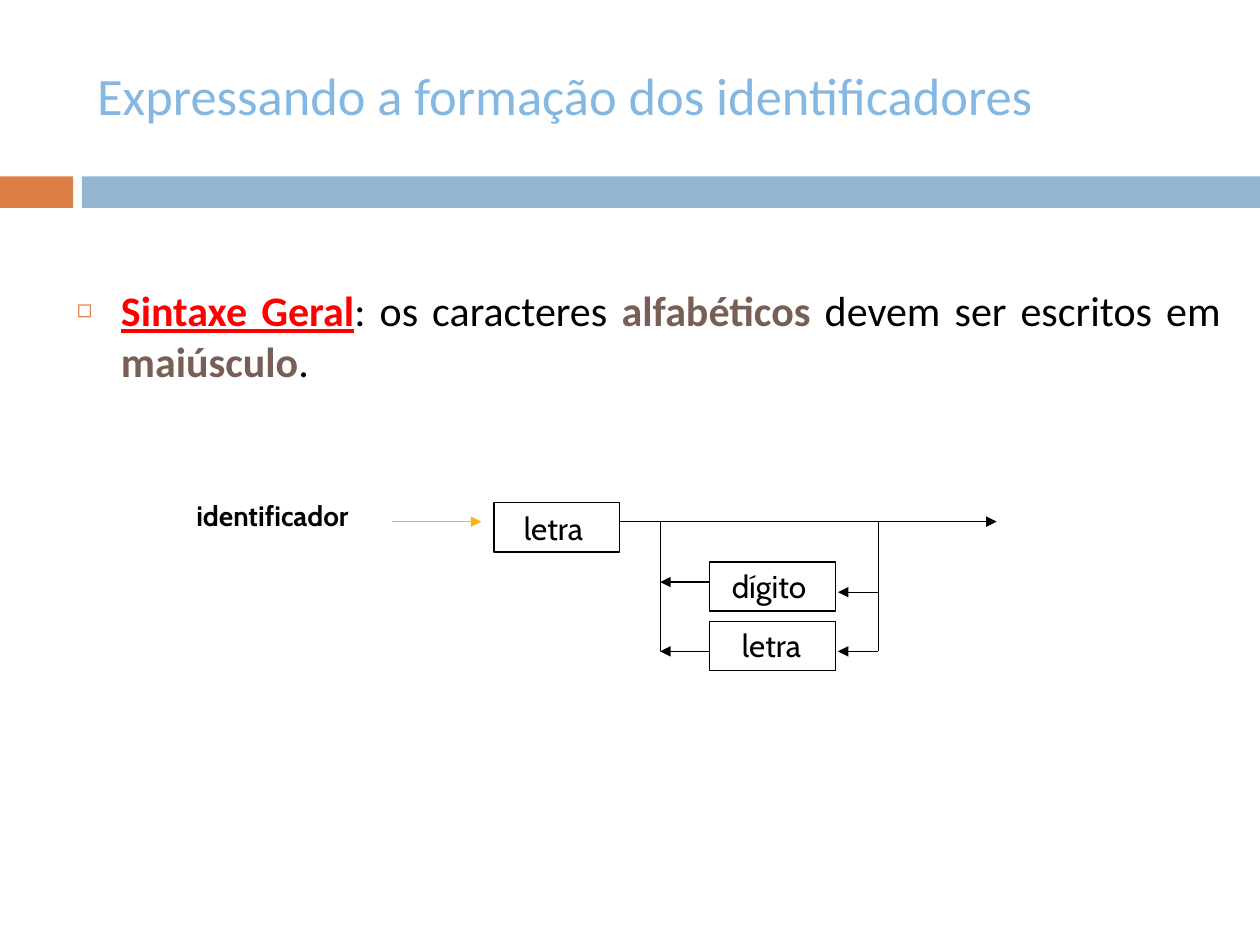
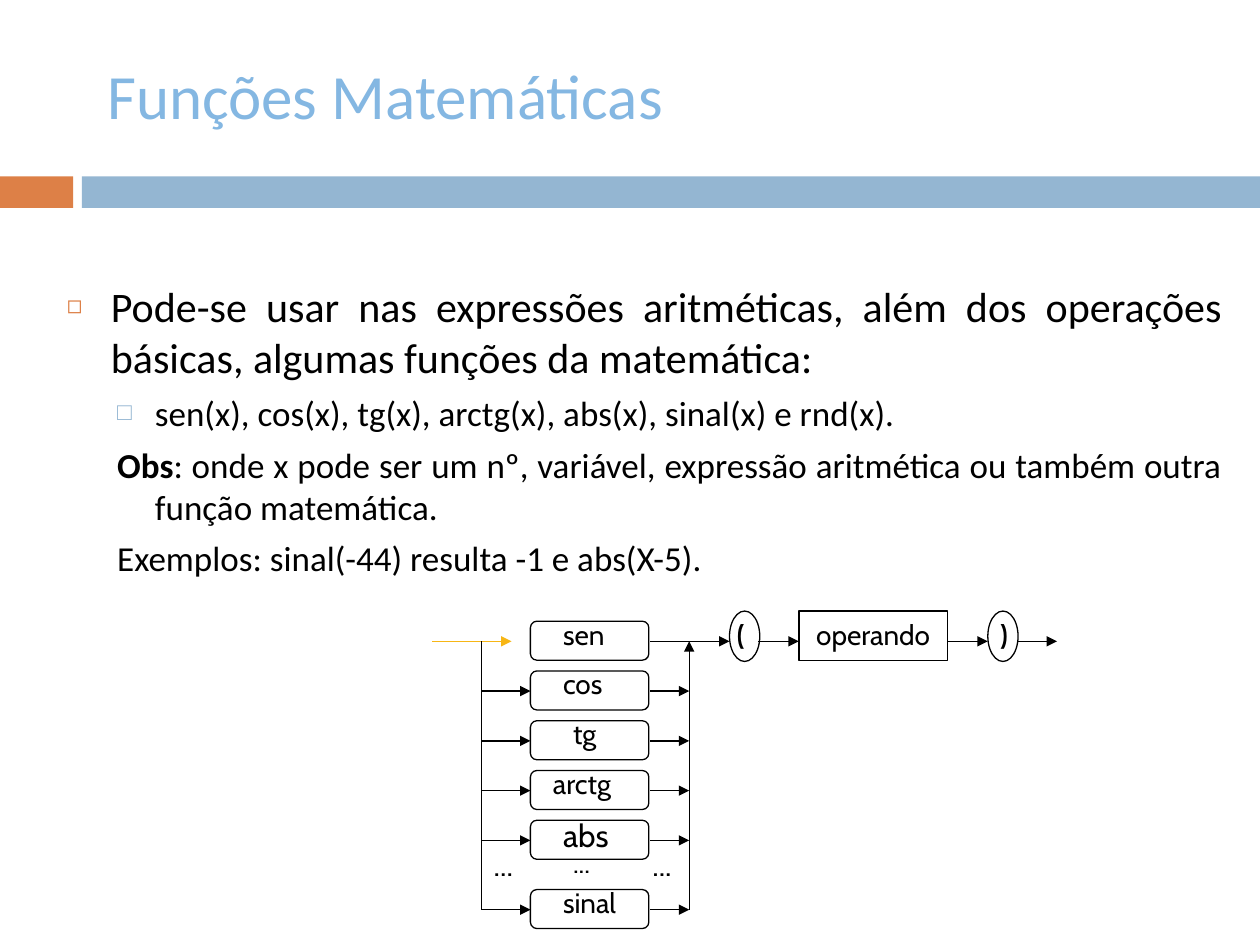
"""Builds two slides on syntax diagrams for identifiers and mathematical functions."""
import dataclasses
import typing

import lxml.etree
import pptx
import pptx.dml.color
import pptx.enum.shapes
import pptx.enum.text
import pptx.oxml.ns
import pptx.presentation
import pptx.slide
import pptx.text.text
import pptx.util

Inches = pptx.util.Inches
Pt = pptx.util.Pt
SHAPE = pptx.enum.shapes.MSO_SHAPE
ALIGN = pptx.enum.text.PP_ALIGN
ANCHOR = pptx.enum.text.MSO_ANCHOR
qn = pptx.oxml.ns.qn

BLACK, WHITE, RED = "000000", "FFFFFF", "FF0000"
ORANGE, BLUE, SKY = "DD8047", "94B6D2", "84B7E2"
BROWN, AMBER = "775F55", "F7B615"
BODY_FONT, DIAGRAM_FONT = "Calibri", "Cabin"
LINE_WIDTH = Pt(0.75)


@dataclasses.dataclass(frozen=True)
class Run:
    text: str
    size: float = 24
    color: str = BLACK
    bold: bool = False
    underline: bool = False
    font: str = BODY_FONT


@dataclasses.dataclass(frozen=True)
class Bullet:
    char: str
    color: str
    percent: int


@dataclasses.dataclass(frozen=True)
class Para:
    runs: tuple[Run, ...]
    bullet: typing.Optional[Bullet] = None
    level: int = 0
    margin: float = 0.35
    hanging: float = 0.35
    before: float = 0


@dataclasses.dataclass(frozen=True)
class Box:
    left: float
    top: float
    width: float
    height: float
    kind: SHAPE = SHAPE.RECTANGLE
    fill: str = WHITE
    line: typing.Optional[str] = BLACK


@dataclasses.dataclass(frozen=True)
class Label:
    text: str
    left: float
    top: float
    width: float
    height: float = 0.37
    size: float = 16
    bold: bool = False


@dataclasses.dataclass(frozen=True)
class Line:
    x1: float
    y1: float
    x2: float
    y2: float
    arrow: bool = True
    color: str = BLACK


BANDS = (
    Box(0, 1.4, 0.58, 0.25, fill=ORANGE, line=None),
    Box(0.65, 1.4, 9.35, 0.25, fill=BLUE, line=None),
)
MAIN_BULLET = Bullet("◻", ORANGE, 60)
SUB_BULLET = Bullet("□", BLUE, 70)


def rgb(color: str) -> pptx.dml.color.RGBColor:
    """Turn a hex string into a colour."""
    return pptx.dml.color.RGBColor.from_string(color)


def add_run(p: pptx.text.text._Paragraph, run: Run) -> None:
    """Append a formatted run to a paragraph."""
    r = p.add_run()
    r.text = run.text
    r.font.name = run.font
    r.font.size = Pt(run.size)
    r.font.bold = run.bold
    r.font.underline = run.underline
    r.font.color.rgb = rgb(run.color)


def set_bullet(p: pptx.text.text._Paragraph, para: Para) -> None:
    """Set the indents and the bullet of a paragraph."""
    pPr = p._p.get_or_add_pPr()
    pPr.set("marL", str(Inches(para.margin)))
    pPr.set("indent", str(-Inches(para.hanging)))
    if para.bullet is None:
        lxml.etree.SubElement(pPr, qn("a:buNone"))
        return
    clr = lxml.etree.SubElement(pPr, qn("a:buClr"))
    lxml.etree.SubElement(clr, qn("a:srgbClr")).set("val", para.bullet.color)
    lxml.etree.SubElement(pPr, qn("a:buSzPct")).set("val", str(para.bullet.percent * 1000))
    lxml.etree.SubElement(pPr, qn("a:buChar")).set("char", para.bullet.char)


def place(sp: typing.Any, left: float, top: float, width: float, height: float) -> None:
    """Move and size a shape."""
    sp.left, sp.top = Inches(left), Inches(top)
    sp.width, sp.height = Inches(width), Inches(height)


def add_box(s: pptx.slide.Slide, box: Box) -> None:
    """Draw a filled preset shape."""
    sp = s.shapes.add_shape(box.kind, 0, 0, 0, 0)
    place(sp, box.left, box.top, box.width, box.height)
    sp.shadow.inherit = False
    sp.fill.solid()
    sp.fill.fore_color.rgb = rgb(box.fill)
    if box.line is None:
        sp.line.fill.background()
    else:
        sp.line.color.rgb = rgb(box.line)
        sp.line.width = LINE_WIDTH


def add_label(s: pptx.slide.Slide, label: Label) -> None:
    """Draw a diagram label."""
    sp = s.shapes.add_textbox(0, 0, 0, 0)
    place(sp, label.left, label.top, label.width, label.height)
    tf = sp.text_frame
    tf.word_wrap = True
    add_run(tf.paragraphs[0], Run(label.text, label.size, bold=label.bold, font=DIAGRAM_FONT))


def add_line(s: pptx.slide.Slide, line: Line) -> None:
    """Draw a straight line, with an arrowhead at its end if asked."""
    cx = s.shapes.add_connector(
        pptx.enum.shapes.MSO_CONNECTOR.STRAIGHT,
        Inches(line.x1), Inches(line.y1), Inches(line.x2), Inches(line.y2),
    )
    cx.line.color.rgb = rgb(line.color)
    cx.line.width = LINE_WIDTH
    if line.arrow:
        ln = cx.line._get_or_add_ln()
        lxml.etree.SubElement(ln, qn("a:tailEnd")).set("type", "triangle")
    lxml.etree.SubElement(cx._element.spPr, qn("a:effectLst"))


def draw(s: pptx.slide.Slide, items: typing.Iterable[Box | Label | Line]) -> None:
    """Draw diagram elements from back to front."""
    painters = {Box: add_box, Label: add_label, Line: add_line}
    for item in items:
        painters[type(item)](s, item)


def add_slide(
    prs: pptx.presentation.Presentation,
    title: Run,
    title_left: float,
    body_at: tuple[float, float, float, float],
    paras: tuple[Para, ...],
) -> pptx.slide.Slide:
    """Add a slide with bands, title and body text."""
    s = prs.slides.add_slide(prs.slide_layouts[1])
    draw(s, BANDS)
    place(s.shapes.title, title_left, 0.21, 8.92, 1.08)
    tf = s.shapes.title.text_frame
    tf.vertical_anchor = ANCHOR.MIDDLE
    tf.auto_size = pptx.enum.text.MSO_AUTO_SIZE.NONE
    tf.paragraphs[0].alignment = ALIGN.LEFT
    add_run(tf.paragraphs[0], title)

    body = s.placeholders[1]
    place(body, *body_at)
    tf = body.text_frame
    tf.auto_size = pptx.enum.text.MSO_AUTO_SIZE.NONE
    for i, para in enumerate(paras):
        p = tf.add_paragraph() if i else tf.paragraphs[0]
        p.level = para.level
        set_bullet(p, para)
        p.alignment = ALIGN.JUSTIFY
        p.space_before = Pt(para.before)
        for run in para.runs:
            add_run(p, run)
    return s


def build_identifiers(prs: pptx.presentation.Presentation) -> None:
    """Build the slide on how identifiers are formed."""
    syntax = Para((
        Run("Sintaxe Geral", color=RED, bold=True, underline=True),
        Run(": os caracteres "),
        Run("alfabéticos", color=BROWN, bold=True),
        Run(" devem ser escritos em "),
        Run("maiúsculo", color=BROWN, bold=True),
        Run("."),
    ), MAIN_BULLET)
    title = Run("Expressando a formação dos identificadores", 30, SKY)
    s = add_slide(prs, title, 0.67, (0.51, 2.21, 9.28, 1.23), (syntax,))

    main_y, digit_y, letter_y = 4.14, 4.7, 5.17
    loop_left, loop_right = 5.24, 6.97
    draw(s, (Box(x, y, 1, 0.39) for x, y in ((3.92, 3.99), (5.63, 4.46), (5.63, 4.93))))
    draw(s, (
        Label("letra", 4.06, 3.99, 0.71, 0.7, 18),
        Label("letra", 5.79, 4.92, 0.71, 0.7, 18),
        Label("dígito", 5.71, 4.45, 0.87, 0.7, 18),
        Line(4.92, main_y, 7.91, main_y),
        Line(loop_right, main_y, loop_right, letter_y, arrow=False),
        Line(loop_left, main_y, loop_left, letter_y, arrow=False),
        Line(loop_right, digit_y, 6.65, digit_y),
        Line(loop_right, letter_y, 6.65, letter_y),
        Line(5.63, 4.62, loop_left, 4.62),
        Line(5.63, letter_y, loop_left, letter_y),
        Line(3.11, main_y, 3.82, main_y, color=AMBER),
        Label("identificador", 1.46, 3.91, 1.73, bold=True),
    ))


def build_functions(prs: pptx.presentation.Presentation) -> None:
    """Build the slide on mathematical functions."""
    def sub(*runs: Run, bullet: typing.Optional[Bullet] = None) -> Para:
        """Make a second-level paragraph."""
        return Para(runs, bullet, level=1, margin=0.7, hanging=0.3, before=5.5)

    paras = (
        Para((Run("Pode-se usar nas expressões aritméticas, além dos operações básicas, "
                  "algumas funções da matemática:"),), MAIN_BULLET),
        sub(Run("sen(x), cos(x), tg(x), arctg(x), abs(x), sinal(x) e rnd(x).", 20),
            bullet=SUB_BULLET),
        sub(Run("Obs", 20, bold=True),
            Run(": onde x pode ser um nº, variável, expressão aritmética ou também "
                "outra função matemática.", 20)),
        sub(Run("Exemplos: sinal(-44) resulta -1 e abs(X-5).", 20)),
    )
    s = add_slide(prs, Run("Funções Matemáticas", 36, SKY), 0.75, (0.43, 2.18, 9.37, 2.49), paras)

    first_top, fifth_top, last_top = 4.93, 6.51, 7.06
    pitch = (fifth_top - first_top) / 4
    tops = [first_top + i * pitch for i in range(5)] + [last_top]
    main_y, last_y = first_top + 0.16, last_top + 0.16
    split_x, box_left, box_right, join_x = 3.82, 4.21, 5.16, 5.47
    functions = (("sen", 4.37, 16), ("cos", 4.37, 16), ("tg", 4.45, 16),
                 ("arctg", 4.29, 16), ("abs", 4.37, 18), ("sinal", 4.37, 16))
    for top, (name, left, size) in zip(tops, functions):
        y = top + 0.16
        draw(s, (Box(box_left, top, 0.94, 0.31, SHAPE.ROUNDED_RECTANGLE),
                 Label(name, left, top - 0.08, 0.79, size=size)))
        if top > first_top:
            draw(s, (Line(split_x, y, box_left, y), Line(box_right, y, join_x, y)))

    draw(s, (
        Line(3.43, main_y, 4.06, main_y, color=AMBER),
        Line(split_x, main_y, split_x, last_y, arrow=False),
        Line(join_x, last_y, join_x, main_y),
        Box(5.79, 4.85, 0.24, 0.4, SHAPE.OVAL),
        Box(6.34, 4.85, 1.18, 0.39),
        Box(7.84, 4.85, 0.24, 0.4, SHAPE.OVAL),
    ))
    spans = ((box_right, 5.79), (6.02, 6.34), (7.52, 7.84), (8.07, 8.39))
    draw(s, (Line(x1, main_y, x2, main_y) for x1, x2 in spans))
    draw(s, (Label("...", x, 6.66, 0.43, size=size)
             for x, size in ((4.45, 16), (5.08, 18), (3.82, 18))))
    draw(s, (
        Label("(", 5.75, 4.85, 0.27, bold=True),
        Label("operando", 6.38, 4.85, 1.14),
        Label(")", 7.84, 4.85, 0.24, bold=True),
    ))


def main() -> None:
    """Build and save the presentation."""
    prs = pptx.Presentation()
    prs.slide_width, prs.slide_height = Inches(10), Inches(7.5)
    build_identifiers(prs)
    build_functions(prs)
    prs.save("out.pptx")


if __name__ == "__main__":
    main()
